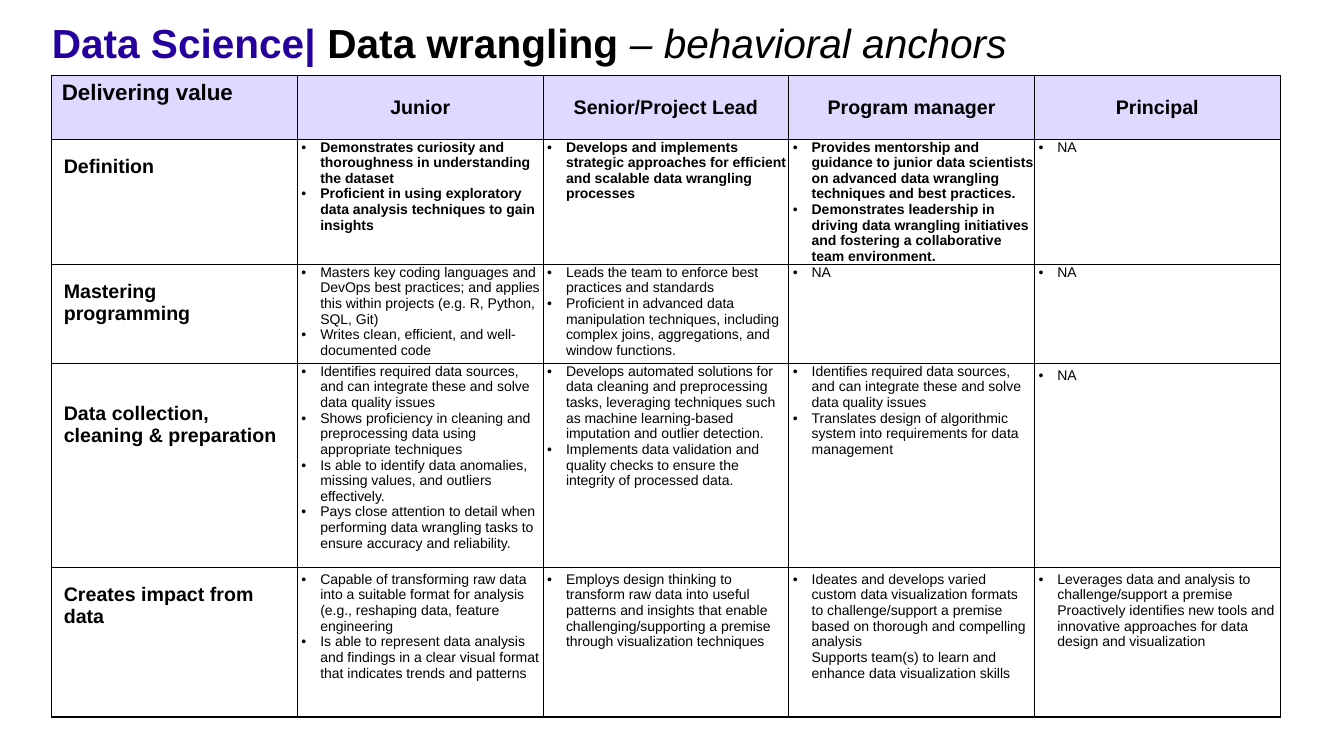
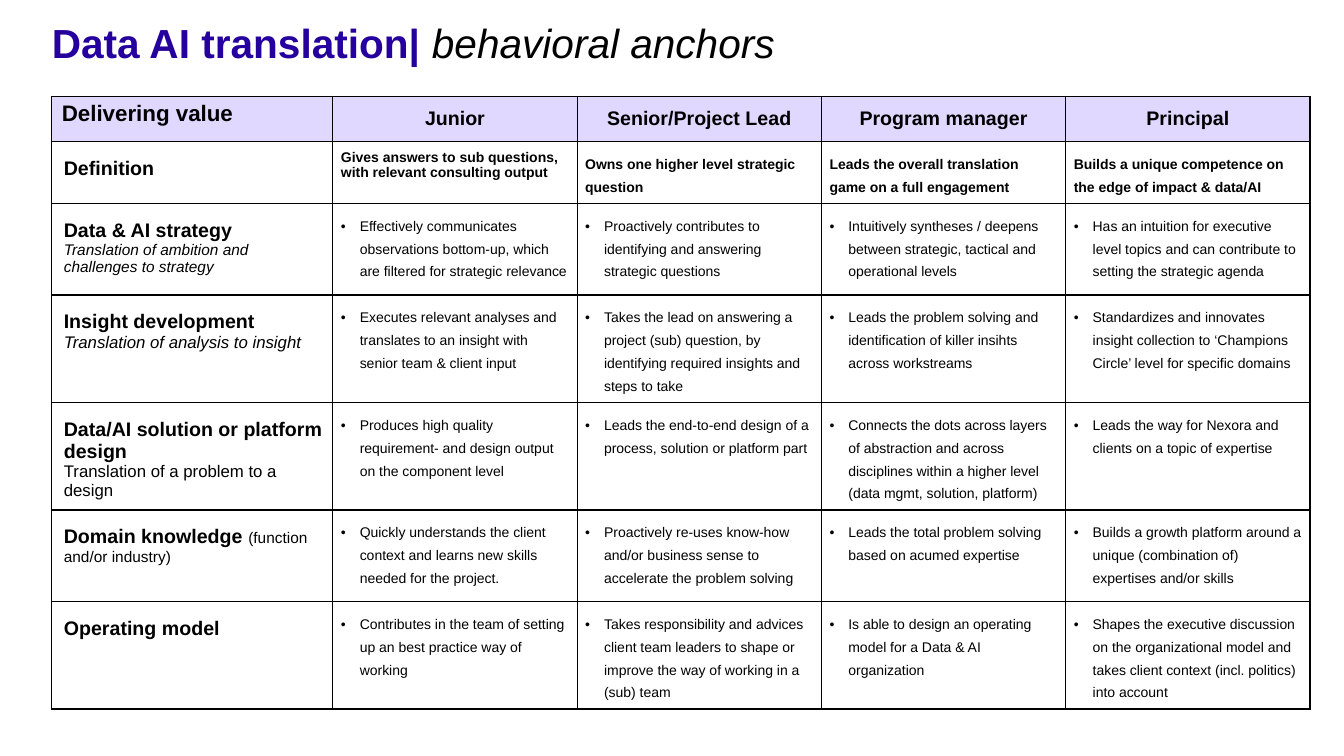
from copy import deepcopy
from dataclasses import dataclass, replace

from lxml.etree import SubElement
from pptx import Presentation
from pptx.dml.color import RGBColor
from pptx.enum.text import MSO_ANCHOR as Anchor, MSO_AUTO_SIZE as AutoSize, PP_ALIGN as Align
from pptx.oxml import parse_xml
from pptx.oxml.ns import nsdecls, qn
from pptx.util import Pt


@dataclass(frozen=True)
class Theme:
    font: str = "Arial"
    accent: str = "26009E"
    ink: str = "000000"
    header_fill: str = "E1D8FF"
    body_fill: str = "FFFFFF"
    title_size: float = 29
    corner_size: float = 16
    label_size: float = 14
    subtitle_size: float = 12
    small_size: float = 11
    anchor_size: float = 10
    border: float = 1
    left: float = 37
    indent: float = 13.5
    leading: float = 16.3


THEME = Theme()


@dataclass(frozen=True)
class Span:
    text: str
    size: float
    bold: bool = False
    italic: bool = False
    color: str = THEME.ink


@dataclass(frozen=True)
class CellStyle:
    margins: tuple[float, float, float, float]
    fill: str = THEME.body_fill
    align: Align = Align.LEFT
    anchor: Anchor = Anchor.TOP
    bullet: bool = False
    leading: float | None = None


@dataclass(frozen=True)
class Cell:
    paragraphs: tuple[tuple[Span, ...], ...]
    style: CellStyle


@dataclass(frozen=True)
class Row:
    height: float
    cells: tuple[Cell, ...]


@dataclass(frozen=True)
class Matrix:
    title: tuple[Span, ...]
    top: float
    widths: tuple[float, ...]
    rows: tuple[Row, ...]


CORNER = CellStyle((7.2, 3.6, 7.2, 3.6), fill=THEME.header_fill)
HEADING = CellStyle((2.88,) * 4, THEME.header_fill, Align.CENTER, Anchor.MIDDLE)
LABEL = CellStyle((8.64, 11.52, 7.2, 3.6))
LOW_LABEL = replace(LABEL, margins=(8.64, 27.6, 7.2, 3.6))
TIGHT = CellStyle((2.88, 0, 0, 0), bullet=True)
PADDED = replace(TIGHT, margins=(2.88,) * 4)
SUMMARY = CellStyle((5.76,) * 4)
SPACED_SUMMARY = replace(SUMMARY, leading=THEME.leading)
SPACED = replace(SPACED_SUMMARY, bullet=True)


def strong(text: str, size: float = THEME.label_size, color: str = THEME.ink) -> Span:
    return Span(text, size, bold=True, color=color)


def label(text: str, *subtitle: Span, style: CellStyle = LABEL) -> Cell:
    return Cell(((strong(text),),) + tuple((span,) for span in subtitle), style)


def anchors(style: CellStyle, *texts: str, bold: bool = False) -> Cell:
    return Cell(tuple((Span(text, THEME.anchor_size, bold),) for text in texts), style)


def header(height: float) -> Row:
    levels = ("Junior", "Senior/Project Lead", "Program manager", "Principal")
    corner = Cell(((strong("Delivering value", THEME.corner_size),),), CORNER)
    return Row(height, (corner, *(label(level, style=HEADING) for level in levels)))


def spaced_row(height: float, heading: Cell, *texts: str) -> Row:
    return Row(height, (heading, *(anchors(SPACED, text) for text in texts)))


WRANGLING = Matrix(
    (strong("Data Science| ", THEME.title_size, THEME.accent),
     strong("Data wrangling ", THEME.title_size),
     Span("– behavioral anchors", THEME.title_size, italic=True)),
    54,
    (175.6,) * 5,
    (
        header(45.6),
        Row(89.4, (
            label("Definition"),
            anchors(TIGHT, "Demonstrates curiosity and thoroughness in understanding the dataset",
                    "Proficient in using exploratory data analysis techniques to gain insights", bold=True),
            anchors(TIGHT, "Develops and implements strategic approaches for efficient and scalable "
                    "data wrangling processes", bold=True),
            anchors(TIGHT, "Provides mentorship and guidance to junior data scientists on advanced "
                    "data wrangling techniques and best practices.",
                    "Demonstrates leadership in driving data wrangling initiatives and fostering a "
                    "collaborative team environment.", bold=True),
            anchors(TIGHT, "NA"))),
        Row(70.8, (
            label("Mastering programming"),
            anchors(TIGHT, "Masters key coding languages and DevOps best practices; and applies this "
                    "within projects (e.g. R, Python, SQL, Git)",
                    "Writes clean, efficient, and well-documented code"),
            anchors(TIGHT, "Leads the team to enforce best practices and standards",
                    "Proficient in advanced data manipulation techniques, including complex joins, "
                    "aggregations, and window functions."),
            anchors(TIGHT, "NA"),
            anchors(TIGHT, "NA"))),
        Row(145.8, (
            label("Data collection, cleaning & preparation", style=LOW_LABEL),
            anchors(TIGHT, "Identifies required data sources, and can integrate these and solve data quality issues",
                    "Shows proficiency in cleaning and preprocessing data using appropriate techniques",
                    "Is able to identify data anomalies, missing values, and outliers effectively.",
                    "Pays close attention to detail when performing data wrangling tasks to ensure "
                    "accuracy and reliability."),
            anchors(TIGHT, "Develops automated solutions for data cleaning and preprocessing tasks, leveraging "
                    "techniques such as machine learning-based imputation and outlier detection.",
                    "Implements data validation and quality checks to ensure the integrity of processed data."),
            anchors(TIGHT, "Identifies required data sources, and can integrate these and solve data quality issues",
                    "Translates design of algorithmic system into requirements for data management"),
            anchors(PADDED, "NA"))),
        Row(106.6, (
            label("Creates impact from data"),
            anchors(PADDED, "Capable of transforming raw data into a suitable format for analysis "
                    "(e.g., reshaping data, feature engineering",
                    "Is able to represent data analysis and findings in a clear visual format that "
                    "indicates trends and patterns"),
            anchors(PADDED, "Employs design thinking to transform raw data into useful patterns and insights "
                    "that enable challenging/supporting a premise through visualization techniques"),
            anchors(PADDED, "Ideates and develops varied custom data visualization formats to "
                    "challenge/support a premise based on thorough and compelling analysis\n"
                    "Supports team(s) to learn and enhance data visualization skills"),
            anchors(PADDED, "Leverages data and analysis to challenge/support a premise\n"
                    "Proactively identifies new tools and innovative approaches for data design "
                    "and visualization"))),
    ),
)

DOMAIN_LABEL = Cell(((strong("Domain knowledge "),
                      Span("(function and/or industry)", THEME.small_size)),), LABEL)

TRANSLATION = Matrix(
    (strong("Data AI translation| ", THEME.title_size, THEME.accent),
     Span("behavioral anchors", THEME.title_size, italic=True)),
    68.8,
    (200.9,) + (174.6,) * 4,
    (
        header(32.4),
        Row(44.1, (
            label("Definition"),
            anchors(SUMMARY, "Gives answers to sub questions, with relevant consulting output", bold=True),
            *(anchors(SPACED_SUMMARY, text, bold=True) for text in (
                "Owns one higher level strategic question",
                "Leads the overall translation game on a full engagement",
                "Builds a unique competence on the edge of impact & data/AI")))),
        spaced_row(
            65.4,
            label("Data & AI strategy",
                  Span("Translation of ambition and challenges to strategy", THEME.small_size, italic=True)),
            "Effectively communicates observations bottom-up, which are filtered for strategic relevance",
            "Proactively contributes to identifying and answering strategic questions",
            "Intuitively syntheses / deepens between strategic, tactical and operational levels",
            "Has an intuition for executive level topics and can contribute to setting the strategic agenda"),
        spaced_row(
            76.8,
            label("Insight development",
                  Span("Translation of analysis to insight", THEME.subtitle_size, italic=True)),
            "Executes relevant analyses and translates to an insight with senior team & client input",
            "Takes the lead on answering a project (sub) question, by identifying required insights and steps to take",
            "Leads the problem solving and identification of killer insihts across workstreams",
            "Standardizes and innovates insight collection to ‘Champions Circle’ level for specific domains"),
        spaced_row(
            76.8,
            label("Data/AI solution or platform design",
                  Span("Translation of a problem to a design", THEME.subtitle_size)),
            "Produces high quality requirement- and design output on the component level",
            "Leads the end-to-end design of a process, solution or platform part",
            "Connects the dots across layers of abstraction and across disciplines within a higher level "
            "(data mgmt, solution, platform)",
            "Leads the way for Nexora and clients on a topic of expertise"),
        spaced_row(
            65.4,
            DOMAIN_LABEL,
            "Quickly understands the client context and learns new skills needed for the project.",
            "Proactively re-uses know-how and/or business sense to accelerate the problem solving",
            "Leads the total problem solving based on acumed expertise",
            "Builds a growth platform around a unique (combination of) expertises and/or skills"),
        spaced_row(
            76.8,
            label("Operating model"),
            "Contributes in the team of setting up an best practice way of working",
            "Takes responsibility and advices client team leaders to shape or improve the way of working "
            "in a (sub) team",
            "Is able to design an operating model for a Data & AI organization",
            "Shapes the executive discussion on the organizational model and takes client context "
            "(incl. politics) into account"),
    ),
)


def write_spans(paragraph, spans: tuple[Span, ...]) -> None:
    for span in spans:
        for position, line in enumerate(span.text.split("\n")):
            if position:
                paragraph.add_line_break()
            run = paragraph.add_run()
            run.text = line
            run.font.name = THEME.font
            run.font.size = Pt(span.size)
            run.font.bold = span.bold
            run.font.italic = span.italic
            run.font.color.rgb = RGBColor.from_string(span.color)
    for line_break in paragraph._p.findall(qn("a:br")):
        line_break.insert(0, deepcopy(paragraph.runs[0]._r.get_or_add_rPr()))


def add_bullet(paragraph) -> None:
    properties = paragraph._p.get_or_add_pPr()
    properties.set("marL", str(Pt(THEME.indent)))
    properties.set("indent", str(-Pt(THEME.indent)))
    SubElement(properties, qn("a:buFont")).set("typeface", THEME.font)
    SubElement(properties, qn("a:buChar")).set("char", "•")


def add_borders(table_cell) -> None:
    properties = table_cell._tc.get_or_add_tcPr()
    for position, side in enumerate(("lnL", "lnR", "lnT", "lnB")):
        properties.insert(position, parse_xml(
            f'<a:{side} {nsdecls("a")} w="{Pt(THEME.border)}"><a:solidFill>'
            f'<a:srgbClr val="{THEME.ink}"/></a:solidFill></a:{side}>'))


def fill_cell(table_cell, cell: Cell) -> None:
    style = cell.style
    (table_cell.margin_left, table_cell.margin_top,
     table_cell.margin_right, table_cell.margin_bottom) = map(Pt, style.margins)
    table_cell.vertical_anchor = style.anchor
    table_cell.fill.solid()
    table_cell.fill.fore_color.rgb = RGBColor.from_string(style.fill)
    add_borders(table_cell)
    frame = table_cell.text_frame
    for position, spans in enumerate(cell.paragraphs):
        paragraph = frame.add_paragraph() if position else frame.paragraphs[0]
        paragraph.alignment = style.align
        if style.leading:
            paragraph.line_spacing = Pt(style.leading)
        if style.bullet:
            add_bullet(paragraph)
        write_spans(paragraph, spans)


def add_title(slide, spans: tuple[Span, ...]) -> None:
    title = slide.shapes.title
    title.left, title.top, title.width, title.height = map(Pt, (THEME.left, 10, 886.3, 26.6))
    frame = title.text_frame
    frame.auto_size = AutoSize.NONE
    frame.word_wrap = True
    frame.vertical_anchor = Anchor.TOP
    frame.margin_left = frame.margin_right = frame.margin_bottom = 0
    frame.margin_top = Pt(3)
    frame.paragraphs[0].alignment = Align.LEFT
    write_spans(frame.paragraphs[0], spans)


def add_matrix_slide(deck, matrix: Matrix) -> None:
    slide = deck.slides.add_slide(deck.slide_layouts[5])
    add_title(slide, matrix.title)
    table = slide.shapes.add_table(
        len(matrix.rows), len(matrix.widths), Pt(THEME.left), Pt(matrix.top),
        Pt(sum(matrix.widths)), Pt(sum(row.height for row in matrix.rows))).table
    table.first_row = table.horz_banding = False
    for column, width in zip(table.columns, matrix.widths):
        column.width = Pt(width)
    for table_row, row in zip(table.rows, matrix.rows):
        table_row.height = Pt(row.height)
        for table_cell, cell in zip(table_row.cells, row.cells):
            fill_cell(table_cell, cell)


def main() -> None:
    deck = Presentation()
    deck.slide_width, deck.slide_height = Pt(960.48), Pt(540)
    for matrix in (WRANGLING, TRANSLATION):
        add_matrix_slide(deck, matrix)
    deck.save("out.pptx")


if __name__ == "__main__":
    main()
